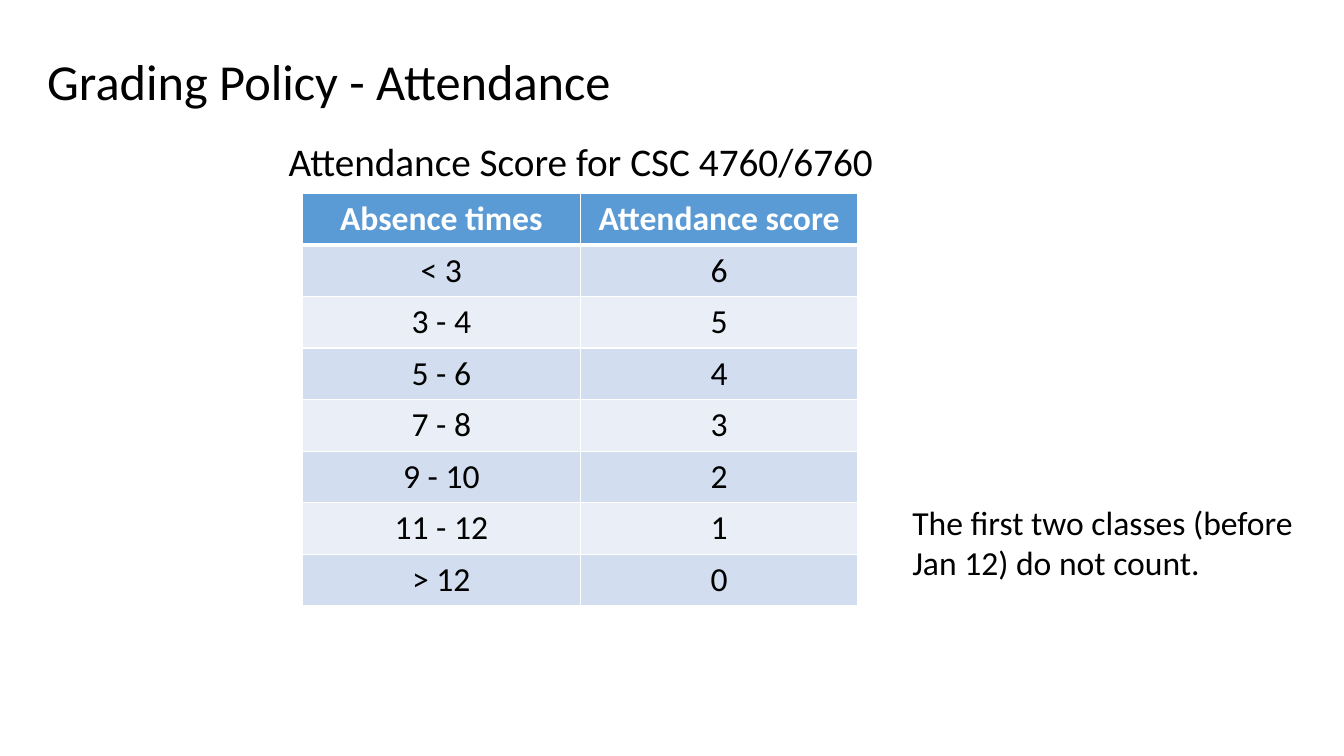
from pptx import Presentation
from pptx.dml.color import RGBColor
from pptx.enum import text as t
from pptx.oxml import parse_xml
from pptx.oxml.ns import nsdecls
from pptx.util import Inches, Pt

BLACK = RGBColor(0, 0, 0)
WHITE = RGBColor(255, 255, 255)
BLUE = RGBColor(0x5B, 0x9B, 0xD5)
BANDS = [RGBColor(0xEA, 0xEF, 0xF7), RGBColor(0xD2, 0xDE, 0xEF)]

SCORES = [
    ("Absence times", "Attendance score"),
    ("< 3", "6"),
    ("3 - 4", "5"),
    ("5 - 6", "4"),
    ("7 - 8", "3"),
    ("9 - 10", "2"),
    ("11 - 12", "1"),
    ("> 12", "0"),
]


def style(par, size, color=BLACK, bold=False, align=t.PP_ALIGN.LEFT):
    par.alignment = align
    for run in par.runs:
        font = run.font
        font.name, font.size, font.bold = "Calibri", Pt(size), bold
        font.color.rgb = color


def add_text(slide, box, words, size, align=t.PP_ALIGN.LEFT):
    frame = slide.shapes.add_textbox(*map(Inches, box)).text_frame
    frame.word_wrap = True
    frame.text = words
    style(frame.paragraphs[0], size, align=align)
    return frame


def add_title(slide, box, words, size, align=t.PP_ALIGN.LEFT):
    frame = add_text(slide, box, words, size, align)
    frame.margin_bottom = 0
    frame.vertical_anchor = t.MSO_ANCHOR.MIDDLE
    frame.paragraphs[0].line_spacing = 0.9


def set_edge(cell, side, width):
    edge = parse_xml(
        f'<a:ln{side} {nsdecls("a")} w="{Pt(width)}"><a:solidFill>'
        f'<a:srgbClr val="{WHITE}"/></a:solidFill></a:ln{side}>'
    )
    cell._tc.get_or_add_tcPr().append(edge)


def add_scores(slide, box, rows):
    left, top, width, height = map(Inches, box)
    table = slide.shapes.add_table(
        len(rows), len(rows[0]), left, top, width, height).table
    for r, row in enumerate(rows):
        head = r == 0
        for c, words in enumerate(row):
            cell = table.cell(r, c)
            cell.text = words
            cell.vertical_anchor = t.MSO_ANCHOR.MIDDLE
            style(cell.text_frame.paragraphs[0], 24,
                  WHITE if head else BLACK, head, t.PP_ALIGN.CENTER)
            # Borders come before the fill in the cell properties
            for side in "LRTB":
                thick = (head and side == "B") or (r == 1 and side == "T")
                set_edge(cell, side, 3 if thick else 1)
            cell.fill.solid()
            cell.fill.fore_color.rgb = BLUE if head else BANDS[r % 2]


def main():
    prs = Presentation()
    prs.slide_width, prs.slide_height = Inches(13.33), Inches(7.5)
    slide = prs.slides.add_slide(prs.slide_layouts[6])

    # Heading and table caption
    add_title(slide, (0.37, 0.48, 6.02, 0.67),
              "Grading Policy - Attendance", 36)
    add_title(slide, (2.69, 1.35, 6.14, 0.51),
              "Attendance Score for CSC 4760/6760", 28, t.PP_ALIGN.CENTER)

    # Score table
    add_scores(slide, (3, 1.92, 5.51, 4.09), SCORES)

    # Side note
    note = add_text(slide, (8.95, 4.93, 4.2, 0.91),
                    "The first two classes (before Jan 12) do not count.", 24)
    note.auto_size = t.MSO_AUTO_SIZE.SHAPE_TO_FIT_TEXT

    prs.save("out.pptx")


if __name__ == "__main__":
    main()
